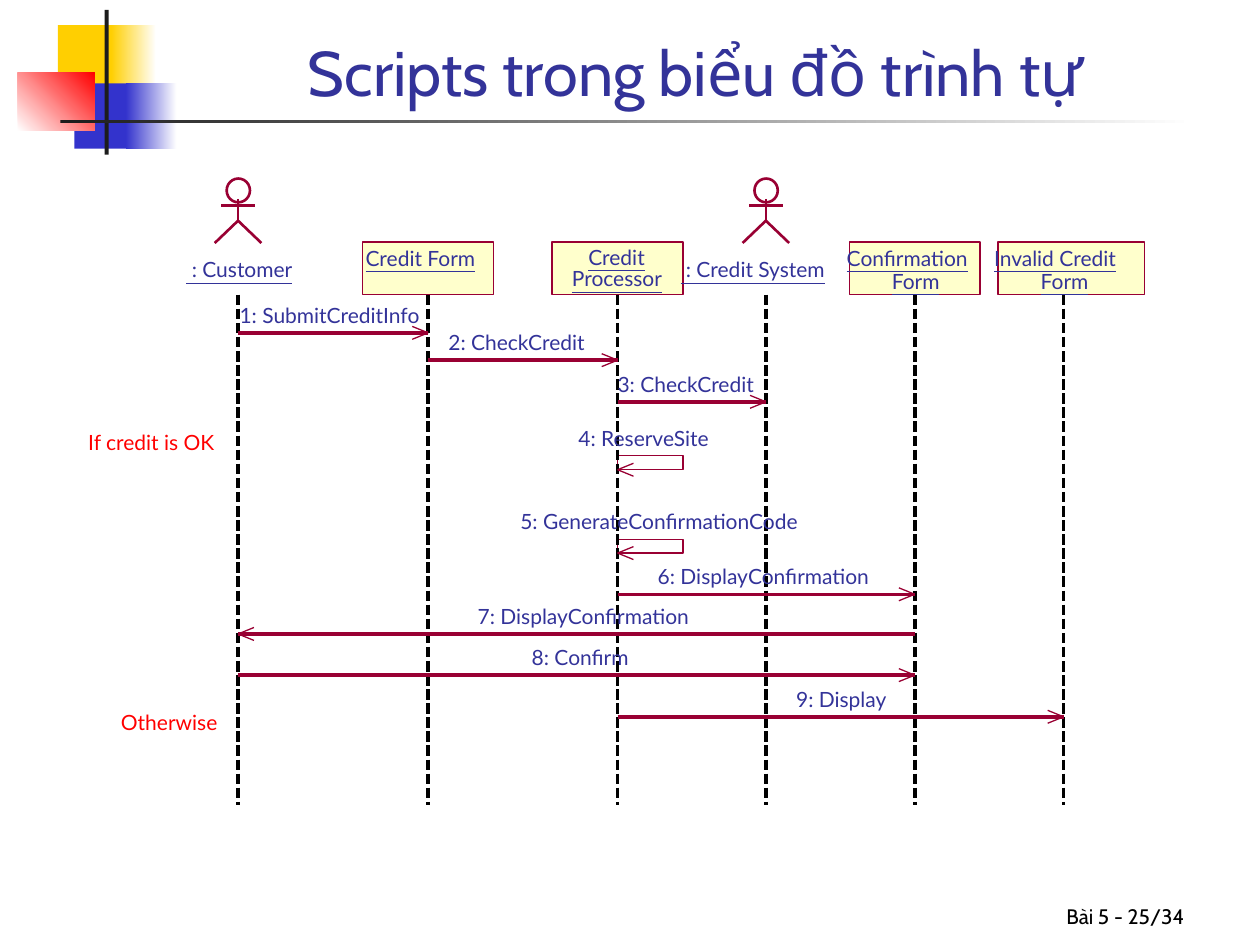
from pptx import Presentation
from pptx.dml.color import RGBColor
from pptx.enum.dml import MSO_LINE
from pptx.enum.shapes import MSO_CONNECTOR, MSO_SHAPE
from pptx.enum.text import MSO_ANCHOR, MSO_AUTO_SIZE, PP_ALIGN
from pptx.oxml.ns import qn
from pptx.util import Cm, Pt

RECT, OVAL = MSO_SHAPE.RECTANGLE, MSO_SHAPE.OVAL
STRAIGHT, DASH = MSO_CONNECTOR.STRAIGHT, MSO_LINE.SQUARE_DOT
TOP, BOTTOM = MSO_ANCHOR.TOP, MSO_ANCHOR.BOTTOM
LEFT, CENTER, RIGHT = PP_ALIGN.LEFT, PP_ALIGN.CENTER, PP_ALIGN.RIGHT
NONE = MSO_AUTO_SIZE.NONE
rgb = RGBColor.from_string

WINE, NAVY, RED, CREAM = "990033", "333399", "FF0000", "FFFFCC"
GOLD, BLUE, WHITE, DARK, BLACK = "FFCF01", "3333CC", "FFFFFF", "1C1C1C", "000000"

deck = Presentation()
deck.slide_width, deck.slide_height = Cm(25.4), Cm(19.05)
slide = deck.slides.add_slide(deck.slide_layouts[6])
shapes = slide.shapes


def draw(x1, y1, x2, y2, color=WINE, width=0, dash=None):
    """Draw a plain line without a shadow."""
    link = shapes.add_connector(STRAIGHT, Cm(x1), Cm(y1), Cm(x2), Cm(y2))
    link.line.color.rgb = rgb(color)
    link.line.width = Pt(width)
    if dash:
        link.line.dash_style = dash
    props = link._element.spPr
    props.append(props.makeelement(qn("a:effectLst"), {}))


def write(text, x, y, w, h=0.51, color=NAVY, align=LEFT, anchor=TOP,
          pad=(0, 0), wrap=False, **style):
    """Write one line of text; style overrides the default font format."""
    frame = shapes.add_textbox(Cm(x), Cm(y), Cm(w), Cm(h)).text_frame
    layout = {"margin_left": Cm(pad[0]), "margin_right": Cm(pad[0]),
              "margin_top": Cm(pad[1]), "margin_bottom": Cm(pad[1]),
              "word_wrap": wrap, "auto_size": NONE, "vertical_anchor": anchor}
    for key, value in layout.items():
        setattr(frame, key, value)
    par = frame.paragraphs[0]
    par.alignment = align
    run = par.add_run()
    run.text = text
    for key, value in {"name": "Lato", "size": Pt(12), **style}.items():
        setattr(run.font, key, value)
    run.font.color.rgb = rgb(color)


# Columns of the diagram
user, form, proc, bank, good, bad = 4.8, 8.63, 12.45, 15.44, 18.44, 21.44
head, foot = 5.94, 16.23

# Boxes: kind, left, top, width, height, fill (pair = gradient), line, line width
boxes = [
    (RECT, 1.17, 0.51, 1.22, 1.32, GOLD, None, 0),
    (RECT, 2.24, 0.51, 0.91, 1.32, (GOLD, WHITE, 0), None, 0),
    (RECT, 1.5, 1.68, 1.17, 1.32, BLUE, None, 0),
    (RECT, 2.54, 1.68, 1.02, 1.32, (BLUE, WHITE, 0), None, 0),
    (RECT, 0.36, 1.47, 1.55, 1.17, (WHITE, RED, 45), None, 0),
    (RECT, 2.11, 0.2, 0.08, 2.92, DARK, None, 0),
    (RECT, 1.22, 2.41, 22.86, 0.08, (DARK, WHITE, 0), None, 0),
]
for mid, wide in ((form, 2.64), (proc, 2.64), (good, 2.64), (bad, 2.95)):
    boxes.append((RECT, mid - 1.32, 4.88, wide, head - 4.88, CREAM, WINE, 0))
for mid in (user, bank):
    boxes.append((OVAL, mid - 0.23, 3.6, 0.47, 0.48, None, WINE, 1.5))
for top in (9.19, 10.87):
    boxes.append((RECT, proc, top, 1.32, 0.28, None, WINE, 0))

for kind, x, y, w, h, fill, edge, width in boxes:
    box = shapes.add_shape(kind, Cm(x), Cm(y), Cm(w), Cm(h))
    box.shadow.inherit = False
    if fill is None:
        box.fill.background()
    elif isinstance(fill, tuple):
        box.fill.gradient()
        box.fill.gradient_angle = fill[2]
        for stop, color in zip(box.fill.gradient_stops, fill):
            stop.color.rgb = rgb(color)
    else:
        box.fill.solid()
        box.fill.fore_color.rgb = rgb(fill)
    if edge:
        box.line.color.rgb = rgb(edge)
        box.line.width = Pt(width)
    else:
        box.line.fill.background()

# Title and page number
write("Scripts trong biểu đồ trình tự", 3.2, 0.2, 21.64, 2.13, align=CENTER,
      anchor=BOTTOM, pad=(0.25, 0.13), wrap=True, name="Cabin", size=Pt(36))
write("Bài 5 - 25/34", 18.85, 17.58, 5.28, 1.27, BLACK, RIGHT,
      BOTTOM, (0.25, 0.13), True, name="Cabin")

# Actors: body, arms and legs
for mid in (user, bank):
    draw(mid, 4.01, mid, 4.45, width=1.5)
    draw(mid - 0.34, 4.14, mid + 0.34, 4.14, width=1.5)
    pen = shapes.build_freeform(Cm(mid - 0.47), Cm(4.9))
    pen.add_line_segments([(Cm(mid), Cm(4.45)), (Cm(mid + 0.47), Cm(4.9))], close=False)
    legs = pen.convert_to_shape()
    legs.shadow.inherit = False
    legs.fill.background()
    legs.line.color.rgb = rgb(WINE)
    legs.line.width = Pt(1.5)

# Lifelines
for mid in (user, form, proc, bank, good, bad):
    draw(mid, head, mid, foot, BLACK, dash=DASH)

# Names of the participants
for text, x, y, w in (
    (" : Customer", 3.76, 5.18, 2.29),
    ("Credit Form", 7.37, 4.95, 2.36),
    ("Credit", 11.86, 4.93, 1.32),
    ("Processor", 11.53, 5.36, 1.96),
    (" : Credit System", 13.72, 5.18, 3.1),
    ("Confirmation", 17.07, 4.95, 2.74),
    ("Form", 17.98, 5.41, 1.04),
    ("Invalid Credit", 20.04, 4.95, 2.77),
    ("Form", 20.98, 5.41, 1.04),
):
    write(text, x, y, w, underline=True)

# Messages: text, text left and width, start, end, height
for text, x, w, start, end, y in (
    ("1: SubmitCreditInfo", 4.83, 3.89, user, form, 6.71),
    ("2: CheckCredit", 9.04, 2.87, form, proc, 7.26),
    ("3: CheckCredit", 12.45, 2.87, proc, bank, 8.1),
    ("4: ReserveSite", 11.66, 2.77, proc, proc, 9.19),
    ("5: GenerateConfirmationCode", 10.49, 5.97, proc, proc, 10.87),
    ("6: DisplayConfirmation", 13.26, 4.55, proc, good, 11.98),
    ("7: DisplayConfirmation", 9.63, 4.55, good, user, 12.78),
    ("8: Confirm", 10.72, 2.08, user, good, 13.61),
    ("9: Display", 16.05, 1.91, proc, bad, 14.45),
):
    write(text, x, y - 0.61, w)
    tip = y
    if start == end:
        tip = y + 0.28
    else:
        draw(start, y, end, y)
    back = -0.32 if end > start else 0.32
    for side in (-0.13, 0.13):
        draw(end, tip, end + back, tip + side, width=0.75)

# Conditions
write("If credit is OK", 1.78, 8.66, 2.67, color=RED)
write("Otherwise", 2.44, 14.3, 2.03, color=RED)

deck.save("out.pptx")
